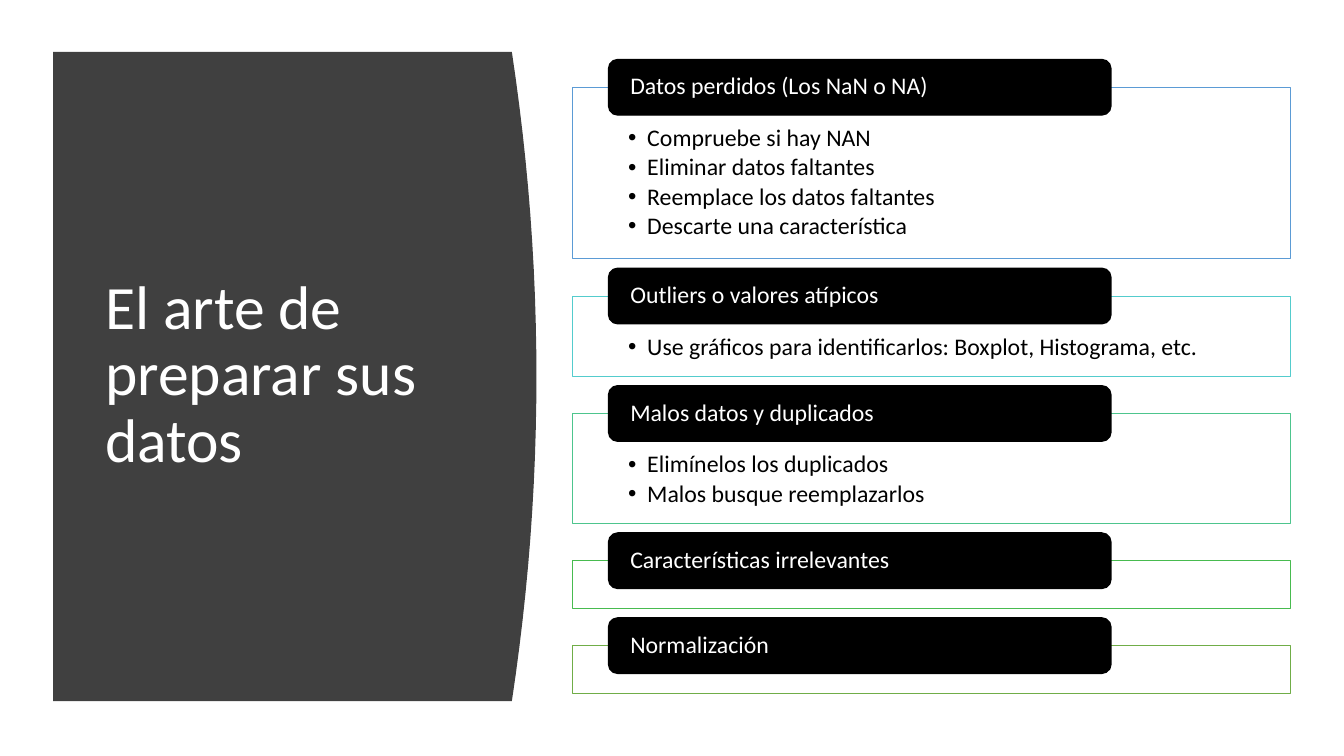
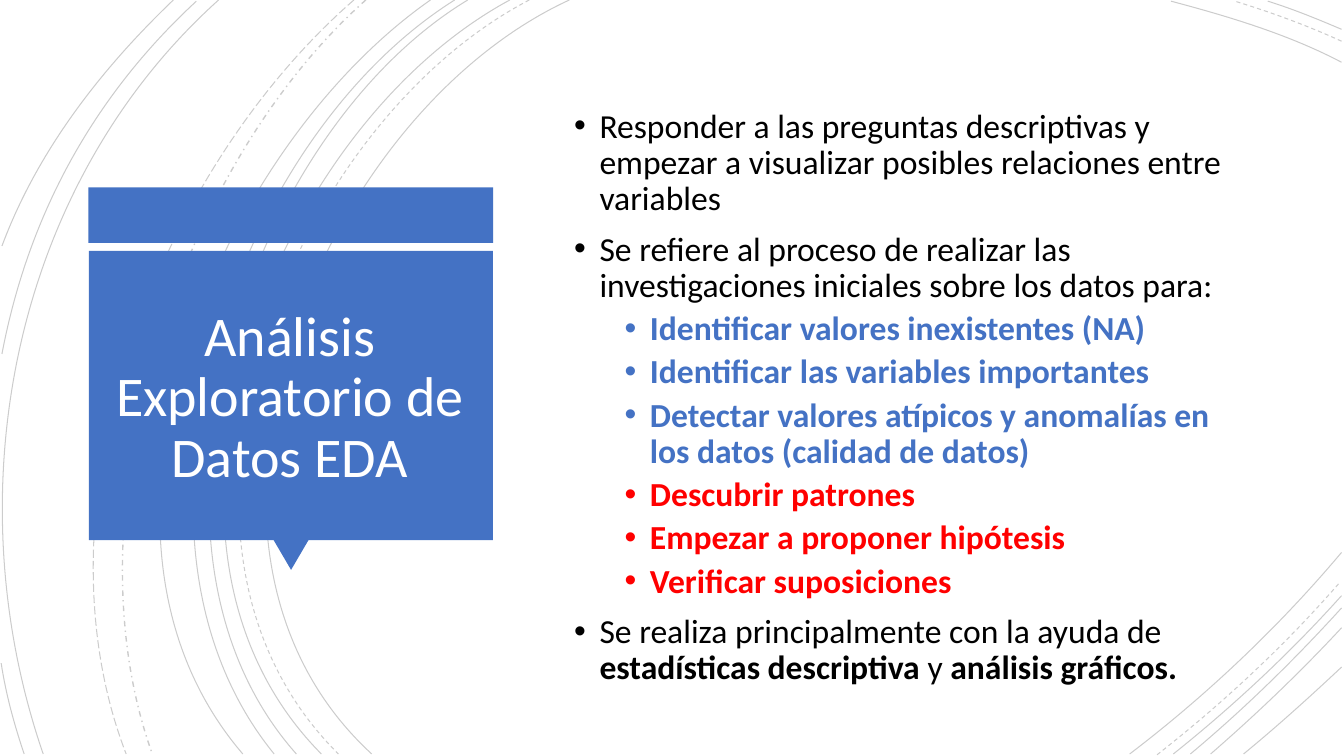
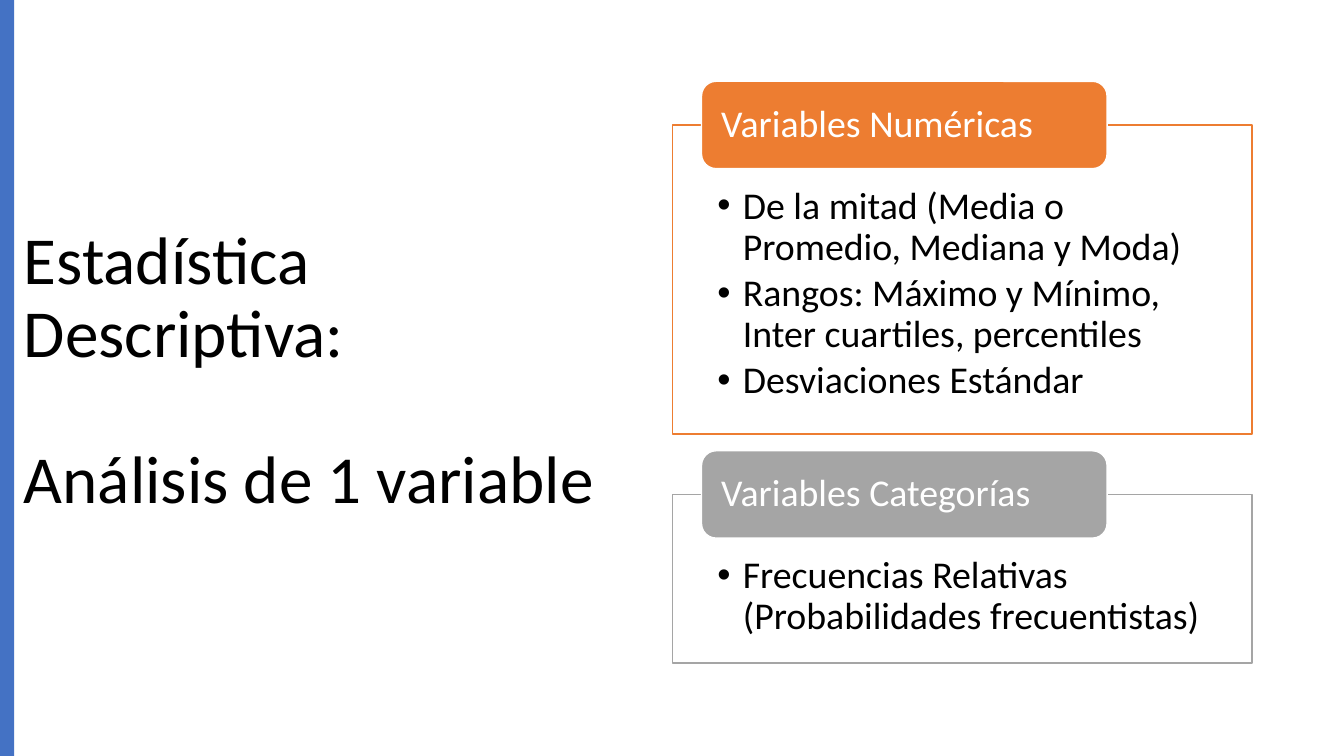
"""Build three slides on data preparation, exploratory analysis and descriptive statistics."""
from dataclasses import dataclass

from lxml import etree
from pptx import Presentation
from pptx.dml.color import RGBColor
from pptx.enum import dml, shapes, text
from pptx.oxml import ns
from pptx.util import Cm, Pt

FONT = "Calibri"
COLORS = {
    "white": "FFFFFF", "black": "000000", "charcoal": "404040",
    "blue": "4472C4", "red": "FF0000", "orange": "ED7D31", "gray": "A5A5A5",
    "sky": "5B9BD5", "turquoise": "54CCCD", "mint": "4DC58D",
    "green": "48BB4F", "olive": "70AD47",
}
ARCS = {
    ("SOLID", 0.75): [
        (14.35, 0, 8, 2.92, 3.63, 13.72, 9.37, 19),
        (33.81, 1.57, 32.46, 0.86, 30.94, 0.41, 29.51, 0.03),
        (28.47, 19, 30.4, 17.53, 32.23, 15.8, 33.81, 13.92),
        (12.85, 0, 6.86, 3.23, 2.79, 13.64, 8.1, 19),
        (33.81, 0.74, 33.2, 0.48, 32.59, 0.23, 31.95, 0.03),
        (29.57, 19, 31.06, 17.81, 32.51, 16.46, 33.81, 15.01),
        (11.79, 0, 6.2, 3.38, 2.79, 13.74, 7.47, 19),
        (30, 19, 31.34, 17.88, 32.61, 16.64, 33.81, 15.32),
        (11.46, 0, 5.87, 3.51, 2.46, 13.54, 6.91, 19),
        (30.51, 19, 31.65, 18.01, 32.77, 16.94, 33.81, 15.82),
        (10.85, 0, 5.51, 3.73, 1.35, 13.44, 6.12, 19),
        (31.34, 19, 32.18, 18.31, 32.99, 17.58, 33.81, 16.81),
        (5.51, 0, 0.28, 4.7, -1.17, 12.45, 1.09, 19),
        (4.95, 0.03, 2.34, 2.44, 0.71, 5.44, 0.05, 8.92),
        (0.03, 16.71, 0.15, 17.5, 0.36, 18.26, 0.61, 19),
        (4.37, 0, 2.54, 1.75, 0.94, 3.81, 0.05, 6.2),
    ],
    ("DASH", 0.75): [
        (13.34, 0, 7.24, 3.18, 3.12, 13.64, 8.53, 19),
        (33.81, 1.04, 32.94, 0.64, 32, 0.3, 31.12, 0.03),
        (29.16, 19.02, 30.81, 17.73, 32.39, 16.26, 33.78, 14.66),
    ],
    ("DASH_DOT", 1): [(9.22, 0, 4.47, 4.22, 1.65, 12.93, 3.84, 19)],
    ("LONG_DASH", 0.75): [(8.92, 0, 3.99, 4.29, 0.74, 12.67, 3.18, 19)],
}


@dataclass
class PanelStyle:
    """Measures in centimetres and points shared by the panels of one list."""
    left: float
    top: float
    width: float
    gap: float
    tab_height: float
    tab_inset: float
    top_inset: float
    hanging: float
    size: float
    line: float
    space_after: float


def color(name):
    """Return the palette colour with this name."""
    return RGBColor.from_string(COLORS[name])


def paint(shape, fill=None, line=None, width=1.0):
    """Set the fill and line of a shape and remove its shadow."""
    shape.shadow.inherit = False
    if fill:
        shape.fill.solid()
        shape.fill.fore_color.rgb = color(fill)
    else:
        shape.fill.background()
    if line:
        shape.line.color.rgb = color(line)
        shape.line.width = Pt(width)
    else:
        shape.line.fill.background()


def add_block(slide, kind, box, fill, line=None, width=1.0):
    """Add a painted preset shape at a box given in centimetres."""
    shape = slide.shapes.add_shape(kind, *map(Cm, box))
    paint(shape, fill, line, width)
    return shape


def add_outline(slide, points, close):
    """Add a freeform through points given in centimetres."""
    start, *others = [(Cm(x), Cm(y)) for x, y in points]
    builder = slide.shapes.build_freeform(*start)
    builder.add_line_segments(others, close=close)
    return builder.convert_to_shape()


def add_arc(slide, curve, dash, width):
    """Add a faint cubic arc from its start, two control points and end."""
    arc = add_outline(slide, list(zip(curve[::2], curve[1::2])), False)
    outline = arc.element.find(".//" + ns.qn("a:path"))
    bend = etree.SubElement(outline, ns.qn("a:cubicBezTo"))
    for segment in outline.findall(ns.qn("a:lnTo")):
        bend.append(segment[0])
        outline.remove(segment)
    paint(arc, line="black", width=width)
    arc.line.dash_style = getattr(dml.MSO_LINE, dash)
    tint = arc.element.spPr.find(ns.qn("a:ln")).find(".//" + ns.qn("a:srgbClr"))
    etree.SubElement(tint, ns.qn("a:alpha"), val="20000")


def add_bulging_panel(slide, left, top, right, bottom, bulge, steps=24):
    """Add a dark panel whose right edge bulges as a parabola."""
    points = [(left, bottom), (left, top)]
    for step in range(steps + 1):
        share = step / steps
        points.append((right + bulge * 4 * share * (1 - share), top + (bottom - top) * share))
    paint(add_outline(slide, points, True), "charcoal")


def set_frame(shape, anchor, insets=(0.25, 0.13, 0.25, 0.13)):
    """Set wrapping, anchor and insets, and return the text frame."""
    frame = shape.text_frame
    frame.word_wrap = True
    frame.auto_size = text.MSO_AUTO_SIZE.NONE
    frame.vertical_anchor = anchor
    (frame.margin_left, frame.margin_top,
     frame.margin_right, frame.margin_bottom) = map(Cm, insets)
    return frame


def next_paragraph(frame, first):
    """Return the first paragraph of a frame or a new one."""
    return frame.paragraphs[0] if first else frame.add_paragraph()


def add_bullet(paragraph, left, hanging):
    """Give a paragraph a round bullet with a hanging indent."""
    properties = paragraph._p.get_or_add_pPr()
    properties.set("marL", str(Cm(left)))
    properties.set("indent", str(-Cm(hanging)))
    etree.SubElement(properties, ns.qn("a:buFont"), typeface="Arial")
    etree.SubElement(properties, ns.qn("a:buChar"), char="•")


def style(paragraph, size, tone, bold=False, align=text.PP_ALIGN.LEFT):
    """Set the font, alignment and line spacing of a paragraph."""
    paragraph.alignment = align
    paragraph.line_spacing = 0.9
    font = paragraph.font
    font.name = FONT
    font.size = Pt(size)
    font.bold = bold
    font.color.rgb = color(tone)


def set_title(slide, box, lines, size, tone, align=text.PP_ALIGN.LEFT, gap=0):
    """Place the title placeholder in front and write its lines."""
    title = slide.shapes.title
    title.left, title.top, title.width, title.height = map(Cm, box)
    title.element.getparent().append(title.element)
    frame = set_frame(title, text.MSO_ANCHOR.MIDDLE)
    for index, line in enumerate(lines):
        paragraph = next_paragraph(frame, index == 0)
        paragraph.text = line
        style(paragraph, size, tone, align=align)
        paragraph.space_before = Pt(gap if index else 0)


def add_panels(slide, look, panels):
    """Stack outlined panels, each with a tab centred on its top edge."""
    top = look.top
    side = look.width * 0.0775
    for heading, items, height, fill, line, tab_line in panels:
        panel = add_block(slide, shapes.MSO_SHAPE.RECTANGLE,
                          (look.left, top, look.width, height), "white", line, look.line)
        frame = set_frame(panel, text.MSO_ANCHOR.TOP, (side, look.top_inset, side, 0.33))
        for index, item in enumerate(items):
            paragraph = next_paragraph(frame, index == 0)
            paragraph.text = item
            add_bullet(paragraph, look.hanging, look.hanging)
            style(paragraph, look.size, "black")
            paragraph.space_after = Pt(look.space_after)
        tab = add_block(slide, shapes.MSO_SHAPE.ROUNDED_RECTANGLE,
                        (look.left + look.width * 0.05, top - look.tab_height / 2,
                         look.width * 0.7, look.tab_height), fill, tab_line)
        frame = set_frame(tab, text.MSO_ANCHOR.MIDDLE, (look.tab_inset, 0, look.tab_inset, 0))
        frame.text = heading
        style(frame.paragraphs[0], look.size, "white")
        top += height + look.gap


def add_outline_list(slide, box, items):
    """Add a two-level bulleted list of (level, tone, runs), odd runs being bold."""
    frame = set_frame(slide.shapes.add_textbox(*map(Cm, box)), text.MSO_ANCHOR.MIDDLE)
    for index, (level, tone, runs) in enumerate(items):
        paragraph = next_paragraph(frame, index == 0)
        add_bullet(paragraph, 0.64 + 1.27 * level, 0.64)
        style(paragraph, 24, tone, bold=level == 1)
        paragraph.space_before = Pt((5 if level else 10) if index else 0)
        for position, words in enumerate(runs):
            run = paragraph.add_run()
            run.text = words
            if position % 2:
                run.font.bold = True


def build_preparation(slide):
    """Build the slide on preparing data."""
    add_bulging_panel(slide, 1.34, 1.31, 12.9, 17.67, 0.62)
    set_title(slide, (2.4, 2.82, 9.5, 13.31), ["El arte de preparar sus datos"], 44, "white")
    look = PanelStyle(left=14.43, top=2.2, width=18.09, gap=0.94, tab_height=1.4,
                      tab_inset=0.48, top_inset=0.98, hanging=0.48, size=17, line=0.5,
                      space_after=2.5)
    topics = [
        ("Datos perdidos (Los NaN o NA)",
         ["Compruebe si hay NAN", "Eliminar datos faltantes",
          "Reemplace los datos faltantes", "Descarte una característica"], 4.32, "sky"),
        ("Outliers o valores atípicos",
         ["Use gráficos para identificarlos: Boxplot, Histograma, etc."], 2.02, "turquoise"),
        ("Malos datos y duplicados",
         ["Elimínelos los duplicados", "Malos busque reemplazarlos"], 2.77, "mint"),
        ("Características irrelevantes", [], 1.2, "green"),
        ("Normalización", [], 1.2, "olive"),
    ]
    add_panels(slide, look, [(heading, items, height, "black", line, "black")
                             for heading, items, height, line in topics])


def build_exploration(slide):
    """Build the slide on exploratory analysis."""
    for (dash, width), curves in ARCS.items():
        for curve in curves:
            add_arc(slide, curve, dash, width)
    add_block(slide, shapes.MSO_SHAPE.RECTANGLE, (2.23, 4.72, 10.2, 1.4), "blue")
    pointer = add_block(slide, shapes.MSO_SHAPE.ISOSCELES_TRIANGLE,
                        (6.89, 13.6, 0.89, 0.76), "blue")
    pointer.rotation = 180
    add_block(slide, shapes.MSO_SHAPE.RECTANGLE, (2.24, 6.32, 10.18, 7.29), "blue")
    set_title(slide, (2.51, 6.72, 9.58, 6.65), ["Análisis Exploratorio de Datos EDA"],
              40, "white", text.PP_ALIGN.CENTER)
    add_outline_list(slide, (14.22, 2.23, 17.45, 15.6), [
        (0, "black", ["Responder a las preguntas descriptivas y empezar a visualizar "
                      "posibles relaciones entre variables"]),
        (0, "black", ["Se refiere al proceso de realizar las investigaciones iniciales "
                      "sobre los datos para:"]),
        (1, "blue", ["Identificar valores inexistentes (NA)"]),
        (1, "blue", ["Identificar las variables importantes"]),
        (1, "blue", ["Detectar valores atípicos y anomalías en los datos (calidad de datos)"]),
        (1, "red", ["Descubrir patrones"]),
        (1, "red", ["Empezar a proponer hipótesis"]),
        (1, "red", ["Verificar suposiciones"]),
        (0, "black", ["Se realiza principalmente con la ayuda de ",
                      "estadísticas descriptiva ", "y ", "análisis gráficos."]),
    ])


def build_statistics(slide):
    """Build the slide on descriptive statistics of one variable."""
    set_title(slide, (0.35, 1.73, 15.6, 15.29),
              ["Estadística Descriptiva:", "Análisis de 1 variable"], 48, "black", gap=52.5)
    add_block(slide, shapes.MSO_SHAPE.RECTANGLE, (0, 0, 0.36, 19.05), "blue")
    look = PanelStyle(left=16.95, top=3.15, width=14.6, gap=1.52, tab_height=2.2,
                      tab_inset=0.39, top_inset=1.55, hanging=0.64, size=27, line=1,
                      space_after=4)
    add_panels(slide, look, [
        ("Variables Numéricas",
         ["De la mitad (Media o Promedio, Mediana y Moda)",
          "Rangos: Máximo y Mínimo, Inter cuartiles, percentiles",
          "Desviaciones Estándar"], 7.79, "orange", "orange", "white"),
        ("Variables Categorías",
         ["Frecuencias Relativas (Probabilidades frecuentistas)"],
         4.25, "gray", "gray", "white"),
    ])


def main():
    """Build and save the presentation."""
    presentation = Presentation()
    presentation.slide_width, presentation.slide_height = Cm(33.87), Cm(19.05)
    title_only = presentation.slide_layouts[5]
    for build in (build_preparation, build_exploration, build_statistics):
        build(presentation.slides.add_slide(title_only))
    presentation.save("out.pptx")


if __name__ == "__main__":
    main()
